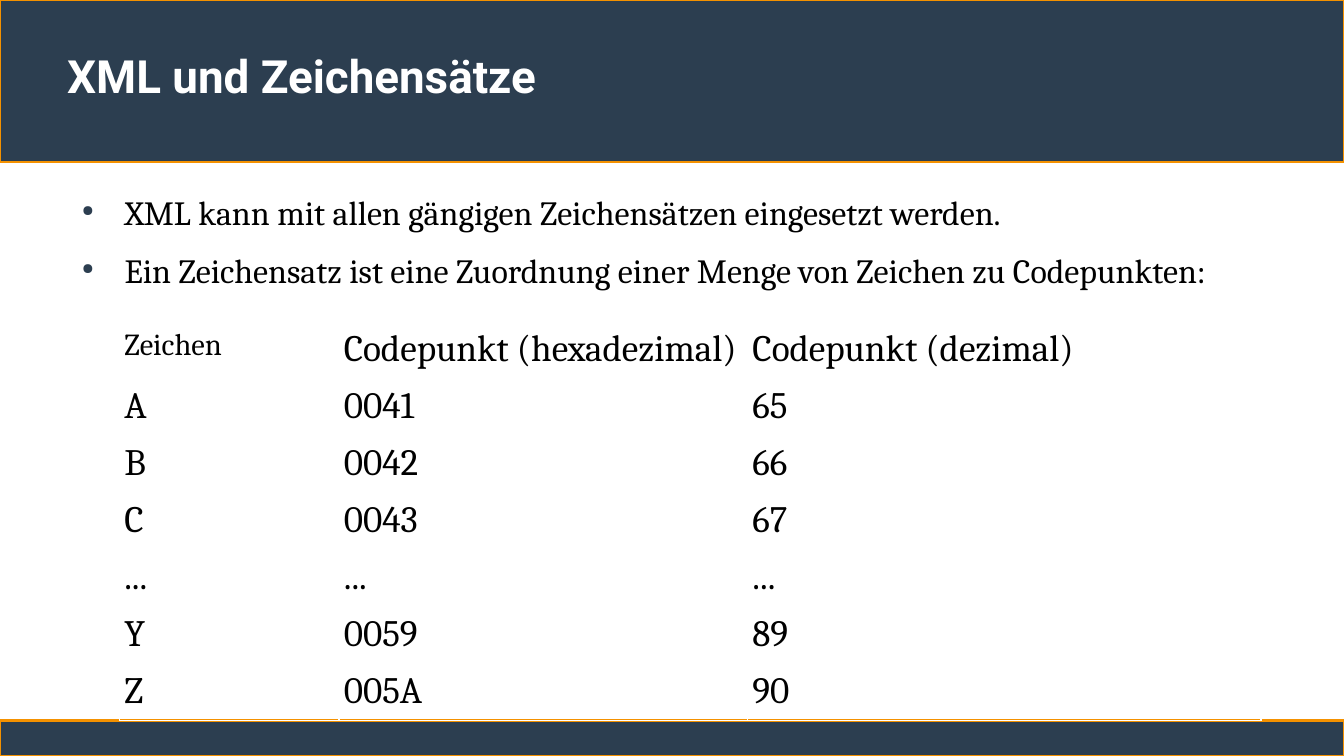
"""Build the slide on XML and character sets with a code point table."""
from lxml import etree
from pptx import Presentation
from pptx.dml.color import RGBColor
from pptx.enum.shapes import MSO_SHAPE
from pptx.enum.text import MSO_ANCHOR
from pptx.oxml.ns import qn
from pptx.util import Inches, Pt

RECT = MSO_SHAPE.RECTANGLE
TOP, MIDDLE = MSO_ANCHOR.TOP, MSO_ANCHOR.MIDDLE
COLORS = {"navy": "2C3E50", "orange": "F49100", "white": "FFFFFF", "black": "000000"}
WIDTH, HEIGHT = 11.02, 6.2
MARGIN = 0.05 * WIDTH
ROW = 0.42
COLUMNS = [1.8, 3.35, 4.21]
BULLETS = [
    "XML kann mit allen gängigen Zeichensätzen eingesetzt werden.",
    "Ein Zeichensatz ist eine Zuordnung einer Menge von Zeichen zu Codepunkten:",
]
ROWS = [
    ("Zeichen", "Codepunkt (hexadezimal)", "Codepunkt (dezimal)"),
    ("A", "0041", "65"),
    ("B", "0042", "66"),
    ("C", "0043", "67"),
    ("...", "...", "..."),
    ("Y", "0059", "89"),
    ("Z", "005A", "90"),
]


def write(p, text, size=22, font="Cambria", color="black", bold=False):
    r = p.add_run()
    r.text = text
    r.font.size, r.font.name, r.font.bold = Pt(size), font, bold
    r.font.color.rgb = RGBColor.from_string(COLORS[color])


def add_box(left, top, width, height, anchor):
    sp = s.shapes.add_textbox(Inches(left), Inches(top), Inches(width), Inches(height))
    tf = sp.text_frame
    tf.word_wrap, tf.vertical_anchor = True, anchor
    tf.margin_left = tf.margin_right = tf.margin_top = tf.margin_bottom = 0
    return tf


prs = Presentation()
prs.slide_width, prs.slide_height = Inches(WIDTH), Inches(HEIGHT)
s = prs.slides.add_slide(prs.slide_layouts[6])

for top, height in [(HEIGHT - 0.29, 0.29), (0, 1.33)]:
    sp = s.shapes.add_shape(RECT, 0, Inches(top), prs.slide_width, Inches(height))
    sp.shadow.inherit = False
    sp.fill.solid()
    sp.fill.fore_color.rgb = RGBColor.from_string(COLORS["navy"])
    sp.line.color.rgb = RGBColor.from_string(COLORS["orange"])
    sp.line.width = Pt(1.42)

tf = add_box(MARGIN, 0.1, 0.9 * WIDTH, 1.04, MIDDLE)
write(tf.paragraphs[0], "XML und Zeichensätze", size=27, font="Roboto", color="white", bold=True)

tf = add_box(MARGIN, 1.57, 0.9 * WIDTH, 1, TOP)
for i, text in enumerate(BULLETS):
    p = tf.paragraphs[0] if i == 0 else tf.add_paragraph()
    p.space_after = Pt(10.6)
    pPr = p._p.get_or_add_pPr()
    pPr.set("marL", str(Inches(0.47)))
    pPr.set("indent", str(Inches(-0.35)))
    color = etree.SubElement(pPr, qn("a:buClr"))
    etree.SubElement(color, qn("a:srgbClr"), val=COLORS["navy"])
    etree.SubElement(pPr, qn("a:buSzPct"), val="45000")
    etree.SubElement(pPr, qn("a:buChar"), char="●")
    write(p, text, size=20)

table = s.shapes.add_table(
    len(ROWS), len(COLUMNS), Inches(0.98), Inches(2.64),
    Inches(sum(COLUMNS)), Inches(ROW * len(ROWS))).table
table.first_row = table.horz_banding = False
for column, width in zip(table.columns, COLUMNS):
    column.width = Inches(width)
for i, values in enumerate(ROWS):
    table.rows[i].height = Inches(ROW)
    for j, text in enumerate(values):
        cell = table.cell(i, j)
        cell.fill.background()
        cell.margin_left = cell.margin_right = Inches(0.04)
        cell.margin_top = cell.margin_bottom = Inches(0.05)
        write(cell.text_frame.paragraphs[0], text, size=18 if i == j == 0 else 22)

prs.save("out.pptx")
